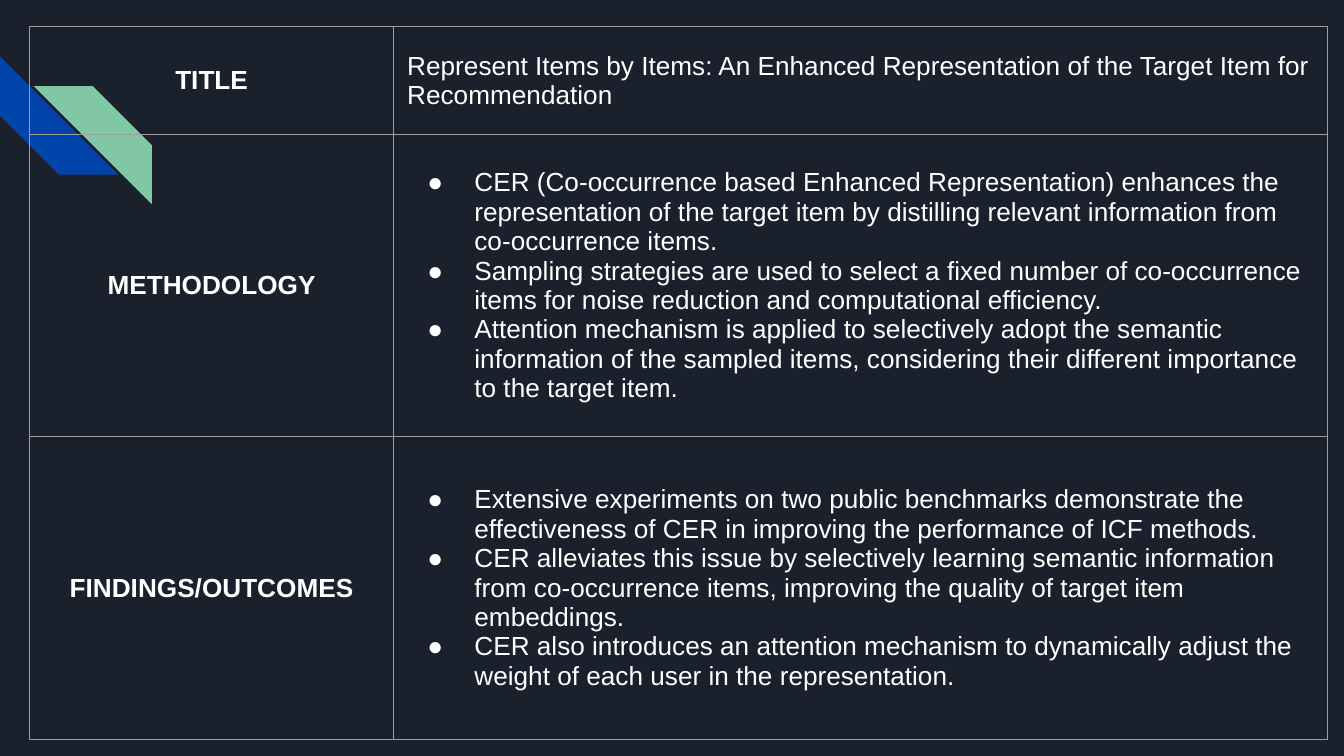
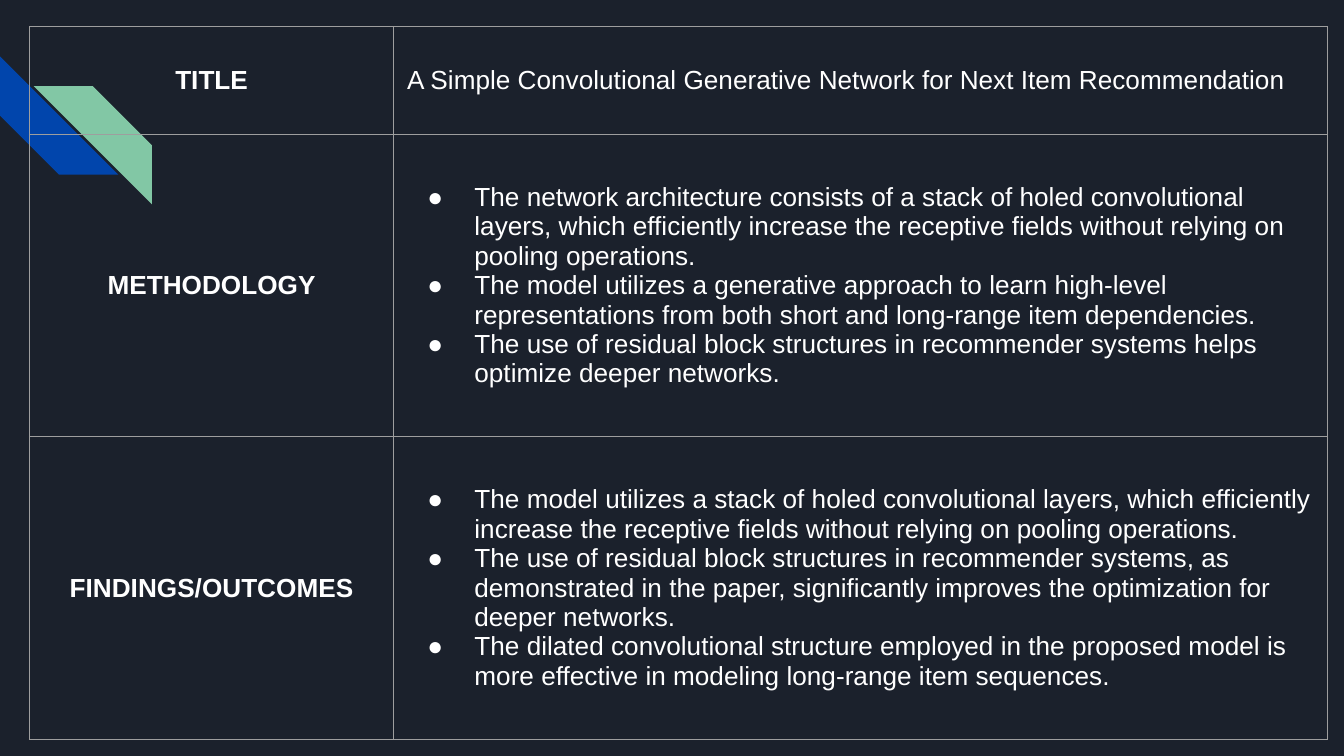
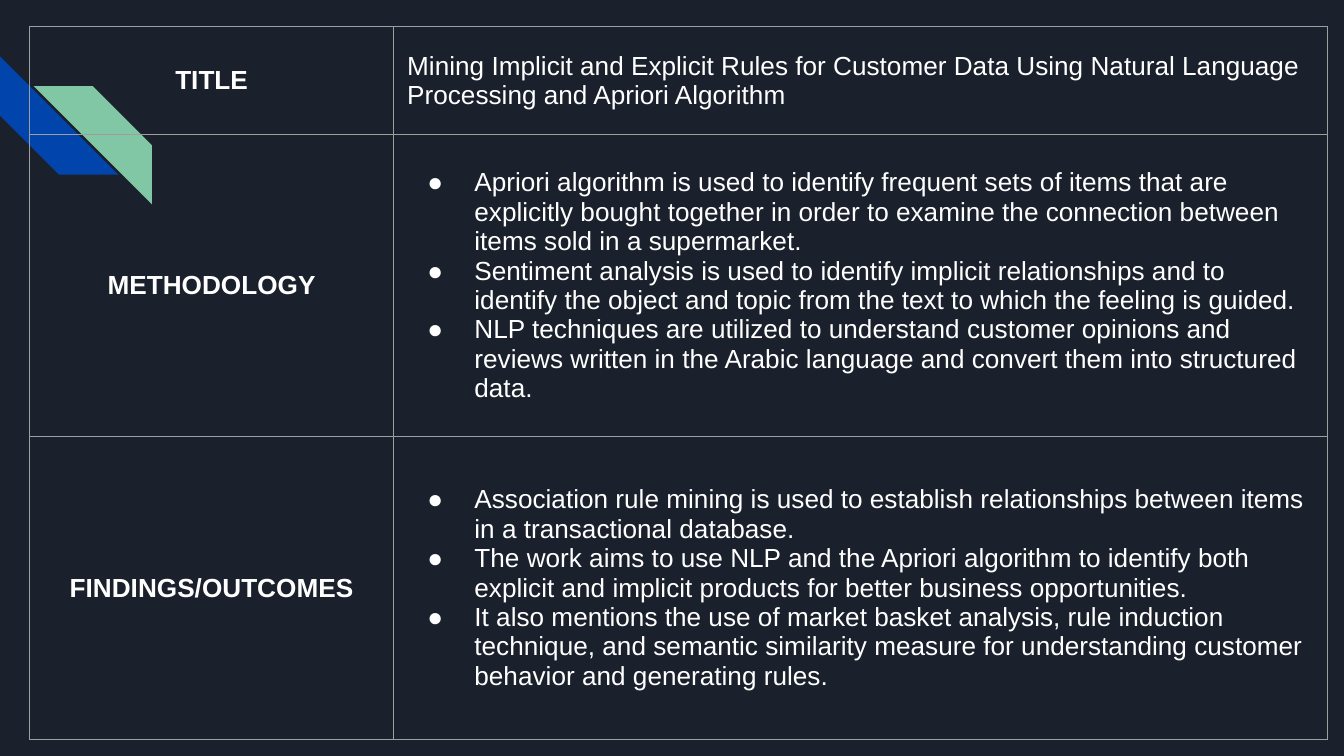
from dataclasses import dataclass

from lxml.etree import SubElement
from pptx import Presentation
from pptx.dml.color import RGBColor
from pptx.enum.shapes import MSO_SHAPE
from pptx.enum.text import MSO_ANCHOR, PP_ALIGN
from pptx.oxml.ns import qn
from pptx.util import Inches, Pt

NAVY = RGBColor(0x1B, 0x21, 0x2C)
BLUE = RGBColor(0x01, 0x45, 0xAC)
GREEN = RGBColor(0x82, 0xC7, 0xA5)
WHITE = RGBColor(0xFF, 0xFF, 0xFF)
GREY = RGBColor(0x9E, 0x9E, 0x9E)

SLIDE_WIDTH = Inches(10)
SLIDE_HEIGHT = SLIDE_WIDTH * 9 // 16
STRIPE_SIZE = Inches(0.88)
TABLE_ORIGIN = (Inches(0.22), Inches(0.2))
COLUMN_WIDTHS = [Inches(2.71), Inches(6.95)]
ROW_HEIGHTS = [Inches(0.8), Inches(2.25), Inches(2.25)]
BORDER_WIDTH = Pt(0.75)
BULLET = "●"
BULLET_INDENT = Inches(0.5)
BULLET_HANG = Inches(-0.35)

FONT_FORMAT = {"name": "Arial", "size": Pt(14)}
CELL_FORMAT = {
    "vertical_anchor": MSO_ANCHOR.MIDDLE,
    "margin_left": Inches(0.1),
    "margin_right": Inches(0.1),
    "margin_top": Inches(0.1),
    "margin_bottom": Inches(0.1),
}


@dataclass
class Paper:
    title: str
    methodology: list[str]
    findings: list[str]


PAPERS = [
    Paper(
        "Represent Items by Items: An Enhanced Representation of the Target Item for Recommendation",
        [
            "CER (Co-occurrence based Enhanced Representation) enhances the representation of the "
            "target item by distilling relevant information from co-occurrence items.",
            "Sampling strategies are used to select a fixed number of co-occurrence items for noise "
            "reduction and computational efficiency.",
            "Attention mechanism is applied to selectively adopt the semantic information of the "
            "sampled items, considering their different importance to the target item.",
        ],
        [
            "Extensive experiments on two public benchmarks demonstrate the effectiveness of CER in "
            "improving the performance of ICF methods.",
            "CER alleviates this issue by selectively learning semantic information from "
            "co-occurrence items, improving the quality of target item embeddings.",
            "CER also introduces an attention mechanism to dynamically adjust the weight of each "
            "user in the representation.",
        ],
    ),
    Paper(
        "A Simple Convolutional Generative Network for Next Item Recommendation",
        [
            "The network architecture consists of a stack of holed convolutional layers, which "
            "efficiently increase the receptive fields without relying on pooling operations.",
            "The model utilizes a generative approach to learn high-level representations from both "
            "short and long-range item dependencies.",
            "The use of residual block structures in recommender systems helps optimize deeper "
            "networks.",
        ],
        [
            "The model utilizes a stack of holed convolutional layers, which efficiently increase "
            "the receptive fields without relying on pooling operations.",
            "The use of residual block structures in recommender systems, as demonstrated in the "
            "paper, significantly improves the optimization for deeper networks.",
            "The dilated convolutional structure employed in the proposed model is more effective "
            "in modeling long-range item sequences.",
        ],
    ),
    Paper(
        "Mining Implicit and Explicit Rules for Customer Data Using Natural Language Processing "
        "and Apriori Algorithm",
        [
            "Apriori algorithm is used to identify frequent sets of items that are explicitly bought "
            "together in order to examine the connection between items sold in a supermarket.",
            "Sentiment analysis is used to identify implicit relationships and to identify the "
            "object and topic from the text to which the feeling is guided.",
            "NLP techniques are utilized to understand customer opinions and reviews written in the "
            "Arabic language and convert them into structured data.",
        ],
        [
            "Association rule mining is used to establish relationships between items in a "
            "transactional database.",
            "The work aims to use NLP and the Apriori algorithm to identify both explicit and "
            "implicit products for better business opportunities.",
            "It also mentions the use of market basket analysis, rule induction technique, and "
            "semantic similarity measure for understanding customer behavior and generating rules.",
        ],
    ),
]


def apply_format(target, values):
    for name, value in values.items():
        setattr(target, name, value)


def add_solid_fill(parent, tag, color):
    fill = SubElement(parent, qn(tag))
    SubElement(fill, qn("a:srgbClr"), val=str(color))


def add_stripe(slide, left, top, color):
    stripe = slide.shapes.add_shape(
        MSO_SHAPE.DIAGONAL_STRIPE, left, top, STRIPE_SIZE, STRIPE_SIZE
    )
    stripe.adjustments[0] = 0.5
    stripe.shadow.inherit = False
    stripe.fill.solid()
    stripe.fill.fore_color.rgb = color
    stripe.line.fill.background()
    return stripe


def decorate_master(master, slide):
    """Set the background and move two stripes, drawn on the slide, to the master."""
    master.background.fill.solid()
    master.background.fill.fore_color.rgb = NAVY
    blue_stripe = add_stripe(slide, 0, Inches(0.42), BLUE)
    blue_stripe.rotation = 270
    green_stripe = add_stripe(slide, Inches(0.25), Inches(0.64), GREEN)
    green_stripe.element.spPr.find(qn("a:xfrm")).set("flipH", "1")
    for stripe in (blue_stripe, green_stripe):
        stripe.element.nvSpPr.cNvPr.set("id", str(len(master.shapes) + 2))
        master.shapes.element.append(stripe.element)


def format_cell(cell):
    apply_format(cell, CELL_FORMAT)
    properties = cell._tc.get_or_add_tcPr()
    for side in ("a:lnL", "a:lnR", "a:lnT", "a:lnB"):
        border = SubElement(properties, qn(side), w=str(BORDER_WIDTH))
        add_solid_fill(border, "a:solidFill", GREY)
    cell.fill.background()


def add_bullet(paragraph):
    properties = paragraph._p.get_or_add_pPr()
    properties.set("marL", str(BULLET_INDENT))
    properties.set("indent", str(BULLET_HANG))
    add_solid_fill(properties, "a:buClr", WHITE)
    SubElement(properties, qn("a:buFont"), typeface=FONT_FORMAT["name"])
    SubElement(properties, qn("a:buChar"), char=BULLET)


def write_cell(cell, lines, heading=False, bulleted=False):
    format_cell(cell)
    cell.text = "\n".join(lines)
    for paragraph in cell.text_frame.paragraphs:
        paragraph.alignment = PP_ALIGN.CENTER if heading else PP_ALIGN.LEFT
        if bulleted:
            add_bullet(paragraph)
        for run in paragraph.runs:
            apply_format(run.font, {**FONT_FORMAT, "bold": heading})
            run.font.color.rgb = WHITE


def add_paper_table(slide, paper, left, top):
    rows = [
        ("TITLE", [paper.title], False),
        ("METHODOLOGY", paper.methodology, True),
        ("FINDINGS/OUTCOMES", paper.findings, True),
    ]
    table = slide.shapes.add_table(
        len(rows), len(COLUMN_WIDTHS), left, top, sum(COLUMN_WIDTHS), sum(ROW_HEIGHTS)
    ).table
    apply_format(table, {"first_row": False, "horz_banding": False})
    for column, width in zip(table.columns, COLUMN_WIDTHS):
        column.width = width
    for row, height, (heading, lines, bulleted) in zip(table.rows, ROW_HEIGHTS, rows):
        row.height = height
        heading_cell, content_cell = row.cells
        write_cell(heading_cell, [heading], heading=True)
        write_cell(content_cell, lines, bulleted=bulleted)


def main():
    presentation = Presentation()
    presentation.slide_width = SLIDE_WIDTH
    presentation.slide_height = SLIDE_HEIGHT
    blank_layout = presentation.slide_layouts.get_by_name("Blank")
    slides = [presentation.slides.add_slide(blank_layout) for _ in PAPERS]
    decorate_master(presentation.slide_master, slides[0])
    for slide, paper in zip(slides, PAPERS):
        add_paper_table(slide, paper, *TABLE_ORIGIN)
    presentation.save("out.pptx")


if __name__ == "__main__":
    main()
